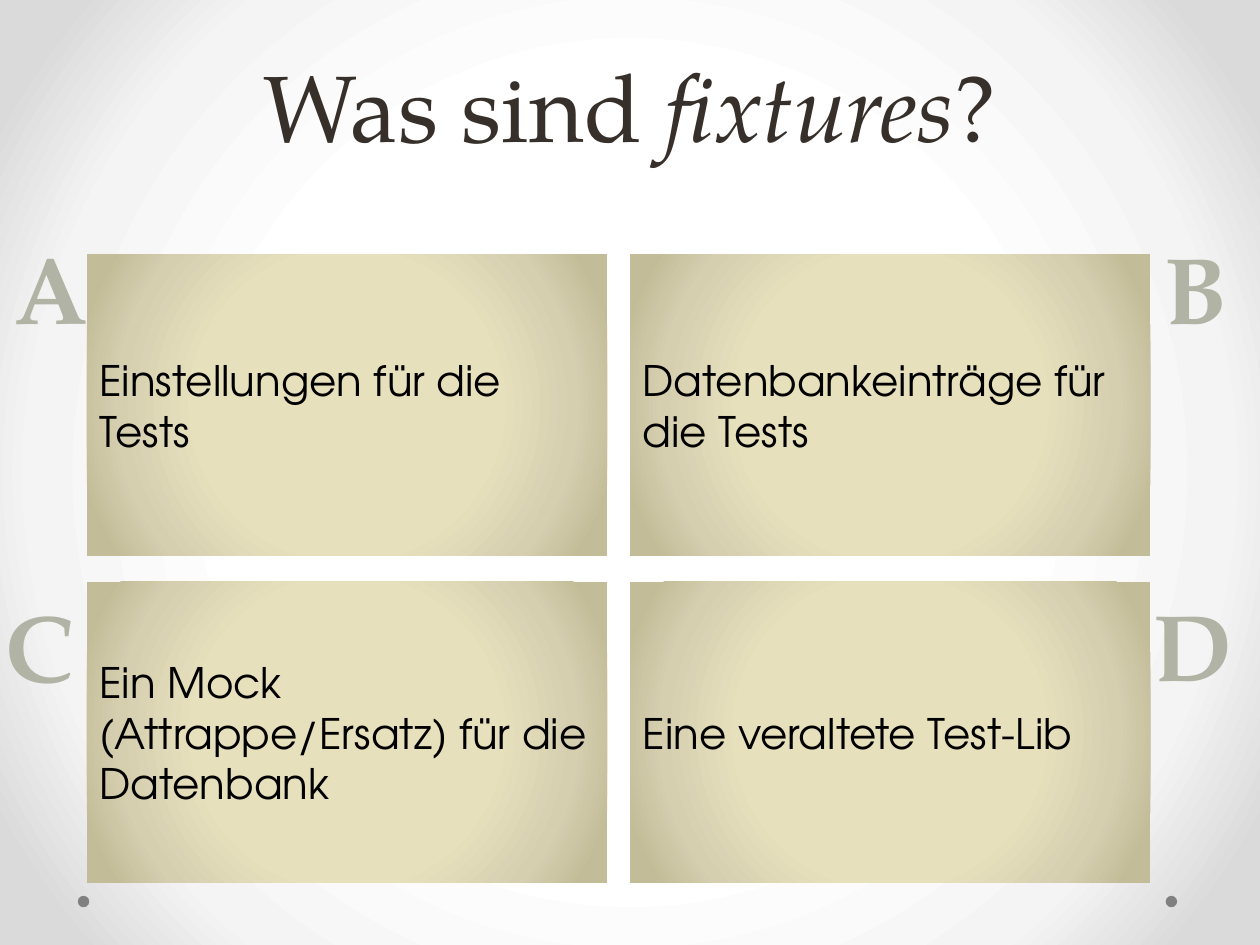
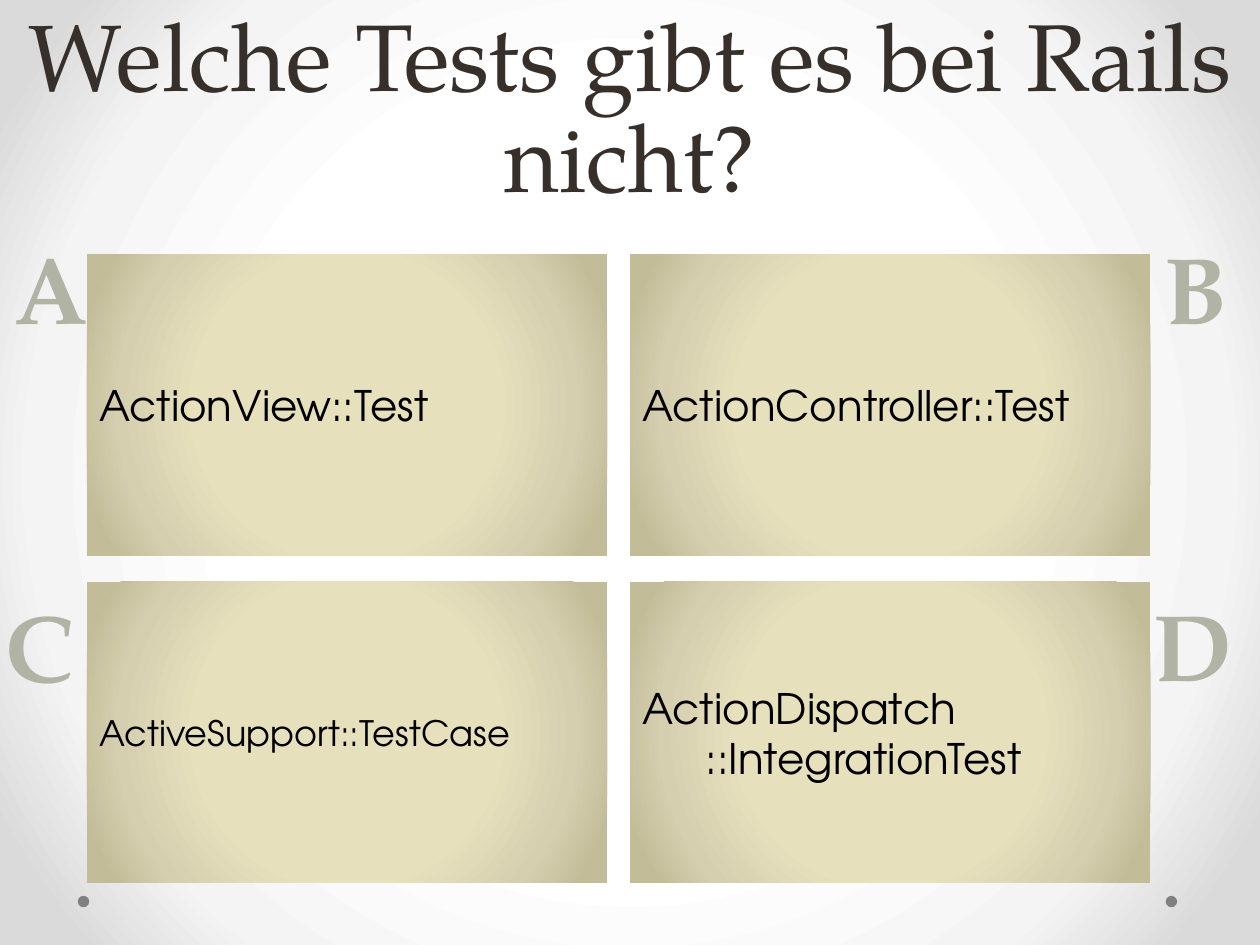
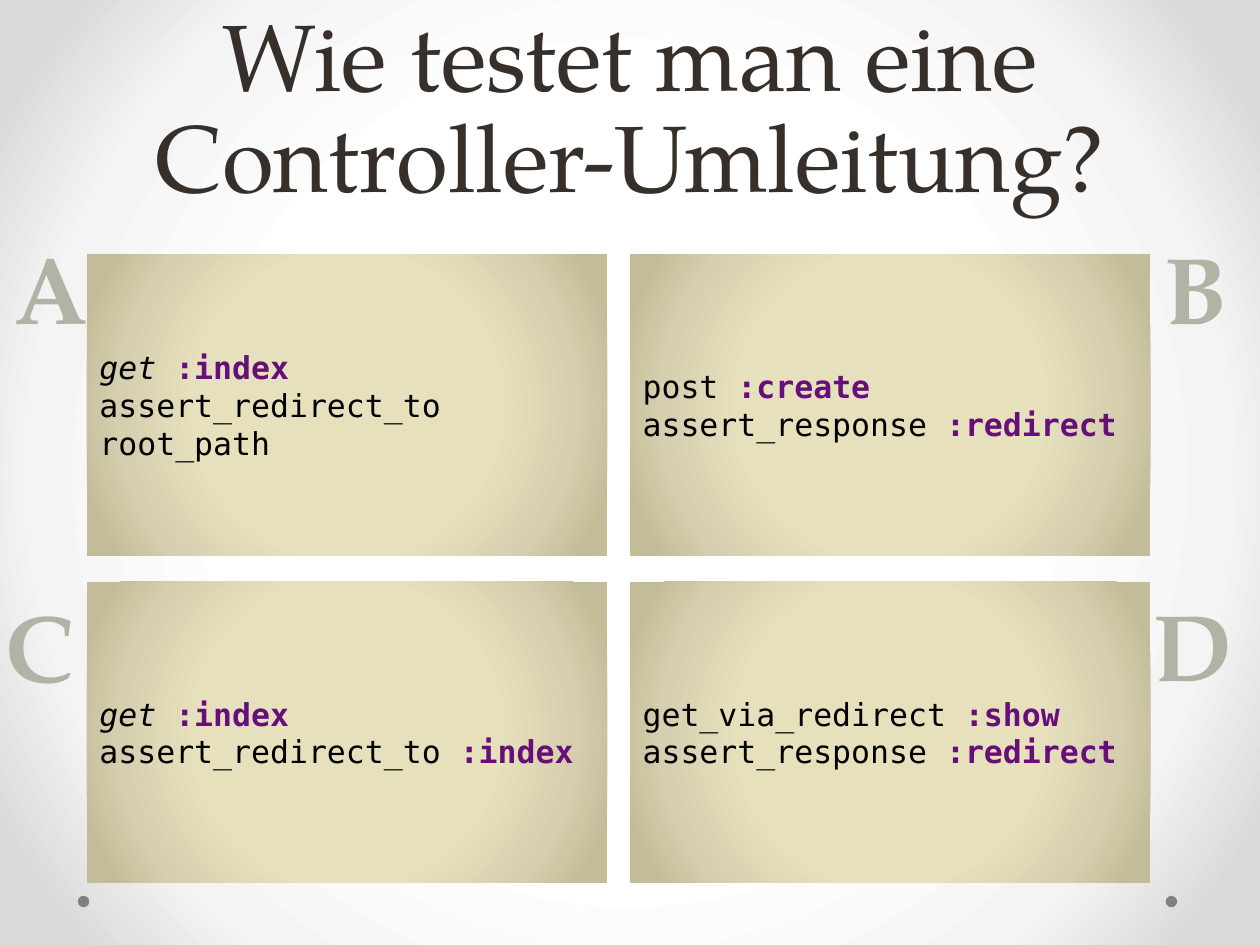
from dataclasses import dataclass
from typing import NamedTuple

from pptx import Presentation
from pptx.dml.color import RGBColor
from pptx.enum.shapes import MSO_SHAPE
from pptx.enum.text import MSO_ANCHOR, MSO_AUTO_SIZE, PP_ALIGN
from pptx.oxml import parse_xml
from pptx.oxml.ns import nsdecls
from pptx.util import Cm, Pt


class Stop(NamedTuple):
    position: int
    color: str


@dataclass(frozen=True)
class Theme:
    title_font: str = "TeX Gyre Pagella"
    body_font: str = "TeX Gyre Adventor"
    code_font: str = "DejaVu Sans Mono"
    title_size: int = 54
    title_leading: int = 58
    body_size: int = 24
    small_size: int = 20
    code_size: int = 18
    title_color: str = "37302A"
    text_color: str = "000000"
    symbol_color: str = "660E7A"
    dot_color: str = "808080"
    letter_outline: str = "81827D"
    letter_outline_width: float = 0.71
    backdrop: tuple[Stop, ...] = (Stop(50, "FFFFFF"), Stop(76, "F4F4F4"), Stop(92, "DADADA"))
    card: tuple[Stop, ...] = (Stop(50, "E7E0BD"), Stop(76, "D5CFAF"), Stop(92, "C3BC99"))
    letter: tuple[Stop, ...] = (
        Stop(0, "585952"), Stop(43, "B1B4A4"), Stop(48, "A5A799"), Stop(100, "585952"))


THEME = Theme()


@dataclass(frozen=True)
class Span:
    text: str
    font: str = THEME.body_font
    size: int = THEME.body_size
    color: str = THEME.text_color
    bold: bool = False
    italic: bool = False


@dataclass(frozen=True)
class Letter:
    text: str
    left: float
    top: float
    width: float


@dataclass(frozen=True)
class Question:
    title: tuple[Span, ...]
    answers: tuple[tuple[Span, ...], ...]


SLIDE_WIDTH, SLIDE_HEIGHT = 25.4, 19.05
TITLE_HEIGHT = 4.45
CARD_LEFT, CARD_TOP = 1.75, 5.13
CARD_WIDTH, CARD_HEIGHT = 10.49, 6.07
COLUMN_STEP, ROW_STEP = 10.95, 6.6
LETTER_HEIGHT = 2.57
DOT_SIZE, DOT_TOP = 0.23, 18.06
DOT_LEFTS = (1.57, 23.5)
TAB_WIDTH = 2.54

LETTERS = (
    Letter("A", 0.03, 4.52, 2.01),
    Letter("B", 23.22, 4.52, 1.78),
    Letter("C", -0.15, 11.73, 1.9),
    Letter("D", 22.99, 11.71, 2.11),
)


def heading(text: str, italic: bool = False) -> Span:
    return Span(text, THEME.title_font, THEME.title_size, THEME.title_color, italic=italic)


def code(text: str, italic: bool = False) -> Span:
    return Span(text, THEME.code_font, THEME.code_size, italic=italic)


def symbol(text: str) -> Span:
    return Span(text, THEME.code_font, THEME.code_size, THEME.symbol_color, bold=True)


QUESTIONS = (
    Question(
        (heading("Was sind "), heading("fixtures", italic=True), heading("?")),
        (
            (Span("Einstellungen für die Tests"),),
            (Span("Datenbankeinträge für die Tests"),),
            (Span("Ein Mock (Attrappe/Ersatz) für die Datenbank"),),
            (Span("Eine veraltete Test-Lib"),),
        ),
    ),
    Question(
        (heading("Welche Tests gibt es bei Rails nicht?"),),
        (
            (Span("ActionView::Test"),),
            (Span("ActionController::Test"),),
            (Span("ActiveSupport::TestCase", size=THEME.small_size),),
            (Span("ActionDispatch\n\t::IntegrationTest"),),
        ),
    ),
    Question(
        (heading("Wie testet man eine Controller-Umleitung?"),),
        (
            (code("get ", italic=True), symbol(":index\n"), code("assert_redirect_to root_path")),
            (code("post "), symbol(":create\n"), code("assert_response "), symbol(":redirect")),
            (code("get ", italic=True), symbol(":index\n"), code("assert_redirect_to "),
             symbol(":index")),
            (code("get_via_redirect "), symbol(":show\n"), code("assert_response "),
             symbol(":redirect")),
        ),
    ),
)


def apply_gradient(fill, element, stops: tuple[Stop, ...], radial: bool = True) -> None:
    fill.solid()
    fill.fore_color.rgb = RGBColor.from_string(stops[0].color)
    stop_list = "".join(
        f'<a:gs pos="{stop.position * 1000}"><a:srgbClr val="{stop.color}"/></a:gs>'
        for stop in stops)
    direction = (
        '<a:path path="circle"><a:fillToRect l="50000" t="50000" r="50000" b="50000"/></a:path>'
        if radial else '<a:lin ang="5400000" scaled="0"/>')
    solid = element.xpath(".//a:solidFill")[0]
    solid.getparent().replace(solid, parse_xml(
        f'<a:gradFill {nsdecls("a")} rotWithShape="1">'
        f'<a:gsLst>{stop_list}</a:gsLst>{direction}</a:gradFill>'))


def add_text(paragraph, text: str, *, font: str, size: int, color: str | None = None,
             bold: bool = False, italic: bool = False) -> list:
    runs = []
    for index, line in enumerate(text.split("\n")):
        if index:
            paragraph.add_line_break()
        if not line:
            continue
        run = paragraph.add_run()
        run.text = line
        run.font.name = font
        run.font.size = Pt(size)
        run.font.bold = bold
        run.font.italic = italic
        if color:
            run.font.color.rgb = RGBColor.from_string(color)
        runs.append(run)
    return runs


def add_spans(paragraph, spans: tuple[Span, ...]) -> None:
    for span in spans:
        add_text(paragraph, span.text, font=span.font, size=span.size, color=span.color,
                 bold=span.bold, italic=span.italic)


def place(shape, left: float, top: float, width: float, height: float):
    shape.left, shape.top, shape.width, shape.height = map(Cm, (left, top, width, height))
    frame = shape.text_frame
    frame.word_wrap = True
    frame.auto_size = MSO_AUTO_SIZE.NONE
    frame.vertical_anchor = MSO_ANCHOR.MIDDLE
    return frame.paragraphs[0]


def add_dot(slide, left: float) -> None:
    dot = slide.shapes.add_shape(
        MSO_SHAPE.OVAL, Cm(left), Cm(DOT_TOP), Cm(DOT_SIZE), Cm(DOT_SIZE))
    dot.shadow.inherit = False
    dot.fill.solid()
    dot.fill.fore_color.rgb = RGBColor.from_string(THEME.dot_color)
    dot.line.fill.background()


def add_letter(slide, letter: Letter) -> None:
    box = slide.shapes.add_textbox(
        Cm(letter.left), Cm(letter.top), Cm(letter.width), Cm(LETTER_HEIGHT))
    box.text_frame.word_wrap = False
    box.text_frame.auto_size = MSO_AUTO_SIZE.SHAPE_TO_FIT_TEXT
    paragraph = box.text_frame.paragraphs[0]
    paragraph.alignment = PP_ALIGN.CENTER
    for run in add_text(paragraph, letter.text, font=THEME.title_font,
                        size=THEME.title_size, bold=True):
        properties = run.font._element
        apply_gradient(run.font.fill, properties, THEME.letter, radial=False)
        properties.insert(0, parse_xml(
            f'<a:ln {nsdecls("a")} w="{Pt(THEME.letter_outline_width)}"><a:solidFill>'
            f'<a:srgbClr val="{THEME.letter_outline}"/></a:solidFill></a:ln>'))


def fill_title(title, spans: tuple[Span, ...]) -> None:
    paragraph = place(title, 0, 0, SLIDE_WIDTH, TITLE_HEIGHT)
    paragraph.alignment = PP_ALIGN.CENTER
    paragraph.line_spacing = Pt(THEME.title_leading)
    add_spans(paragraph, spans)


def fill_card(card, position: int, spans: tuple[Span, ...]) -> None:
    row, column = divmod(position, 2)
    paragraph = place(card, CARD_LEFT + column * COLUMN_STEP, CARD_TOP + row * ROW_STEP,
                      CARD_WIDTH, CARD_HEIGHT)
    apply_gradient(card.fill, card.element.spPr, THEME.card)
    paragraph.alignment = PP_ALIGN.LEFT
    properties = paragraph._p.get_or_add_pPr()
    properties.set("marL", "0")
    properties.set("indent", "0")
    properties.append(parse_xml(f'<a:buNone {nsdecls("a")}/>'))
    properties.append(parse_xml(
        f'<a:tabLst {nsdecls("a")}><a:tab pos="{Cm(TAB_WIDTH)}" algn="l"/></a:tabLst>'))
    add_spans(paragraph, spans)


def add_question(presentation, question: Question) -> None:
    slide = presentation.slides.add_slide(presentation.slide_layouts.get_by_name("Comparison"))
    title, *cards = slide.placeholders
    fill_title(title, question.title)
    for position, (card, answer) in enumerate(zip(cards, question.answers)):
        fill_card(card, position, answer)
    for left in DOT_LEFTS:
        add_dot(slide, left)
    for letter in LETTERS:
        add_letter(slide, letter)


def main() -> None:
    presentation = Presentation()
    presentation.slide_width = Cm(SLIDE_WIDTH)
    presentation.slide_height = Cm(SLIDE_HEIGHT)
    master = presentation.slide_master
    apply_gradient(master.background.fill, master.element.xpath("p:cSld")[0], THEME.backdrop)
    for question in QUESTIONS:
        add_question(presentation, question)
    presentation.save("out.pptx")


main()
